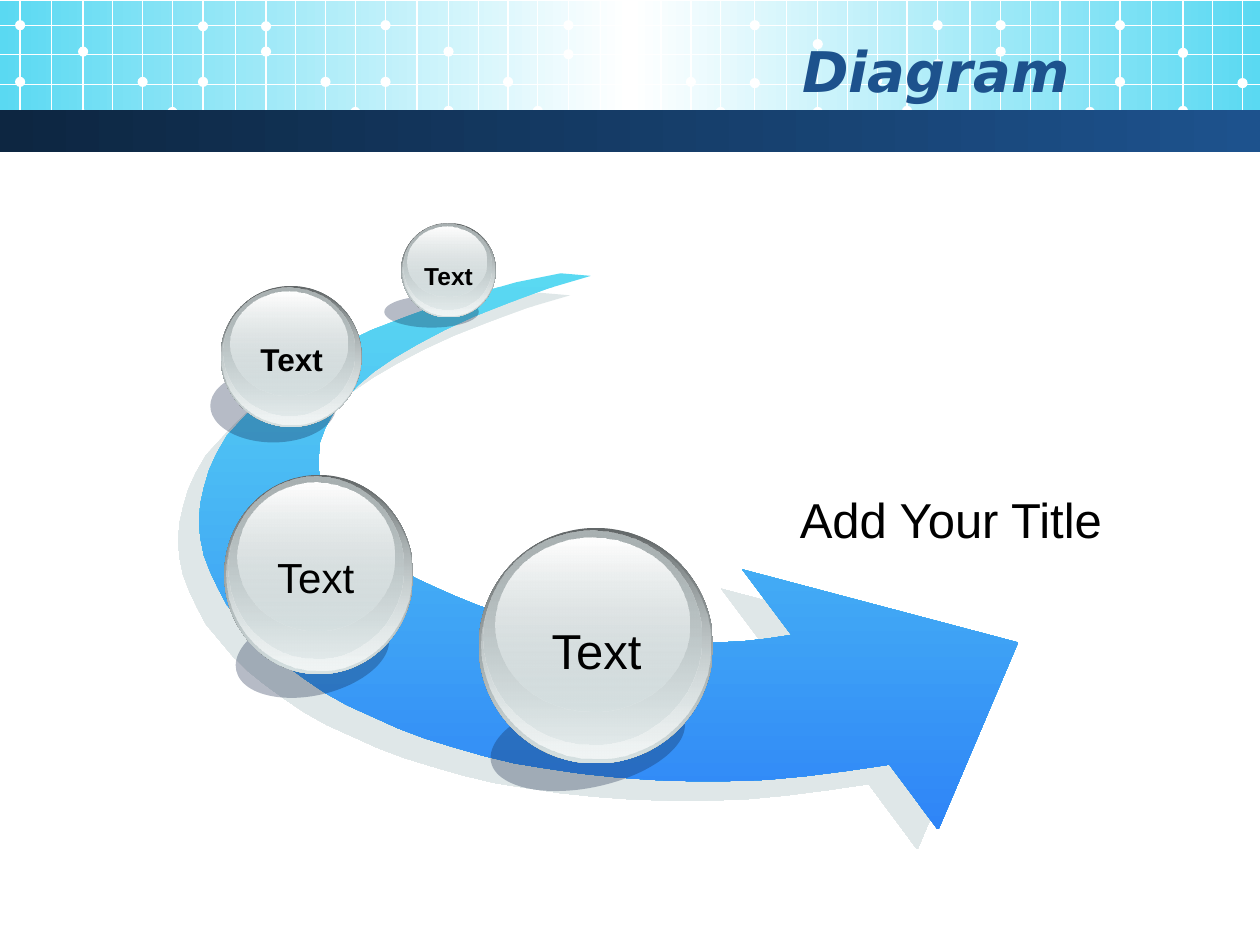
from dataclasses import dataclass
from lxml.etree import SubElement as Sub
from pptx import Presentation
from pptx.dml.color import RGBColor as Rgb
from pptx.enum.shapes import MSO_CONNECTOR as Conn, MSO_SHAPE as Kind
from pptx.enum.text import MSO_ANCHOR as Anchor, MSO_AUTO_SIZE as Auto, PP_ALIGN as Align
from pptx.oxml import parse_xml
from pptx.oxml.ns import nsdecls, qn
from pptx.util import Pt


@dataclass(frozen=True)
class Theme:
    white: str = "FFFFFF"
    black: str = "000000"
    navy: str = "0D2641"
    blue: str = "1D528D"
    aqua: str = "5AD9F2"
    azure: str = "2F85F7"
    shade: str = "0F2145"
    haze: str = "C1D1D3"
    pale: str = "D6E1E2"
    frost: str = "F1F5F5"
    steel: str = "AAB2B3"
    iron: str = "636869"
    head: str = "DejaVu Sans"
    body: str = "Arial"
    title: int = 32
    note: int = 28
    balls: tuple = (28, 24, 18, 14)


T = Theme()
WIDE, HIGH = 720, 540

TITLE = ("Diagram", (36, 18, 582.5, 44.6))
NOTE = ("Add Your Title", (450, 276, 210, 41))

TILES = [11.5, 220.3, 431.3, 640]
STEPS = [0, 18, 36, 53, 70, 87, 104.5, 123, 140.5, 157.5, 174.5, 191.5]
ROWS = [14.4, 31, 48.2, 64]
DOT = 5.8
DOT_COLS = [0, 0, 2, 2, 4, 5, 6, 6, 8, 8, 10, 11]
DOT_ROWS = [
    [46.8, 14.4, 29.5, 65.5, 46.8, 64, 46.8, 15, 29.5, 15, 46.8, 64],
    [46.8, 14.4, 29.5, 63.4, 46.8, 63.4, 31, 14.4, 30.2, 14.4, 46.8, 64],
    [47.5, 14.4, 25.2, 64, 46, 63.4, 36.7, 14.4, 29.5, 14.4, 46.8, 64],
    [46.8, 14.4, 30.2, 63.4, 47.5],
]

OUTER = [
    (320.4, 156.2), (295.2, 161.3), (272.2, 167.8), (250.6, 174.2), (231.1, 181.4),
    (212.4, 188.6), (195.8, 196.6), (181.4, 204.5), (167.8, 213.1), (156.2, 221.8),
    (146.2, 231.1), (137.5, 240.5), (129.6, 249.1), (123.8, 259.2), (119.5, 268.6),
    (116.6, 278.6), (114.5, 288), (113.8, 298.1), (114.5, 307.4), (116.6, 317.5),
    (120.2, 326.9), (124.6, 336.2), (129.6, 345.6), (136.8, 354.2), (144.7, 363.6),
    (153.4, 372.2), (163.4, 380.2), (174.2, 388.1), (185.8, 396), (198.7, 403.2),
    (213.1, 409.7), (227.5, 416.2), (242.6, 421.9), (259.2, 427), (276.5, 432),
    (294.5, 436.3), (312.5, 439.2), (331.9, 442.1), (352.1, 444.2), (372.2, 445.7),
    (393.8, 446.4), (415.4, 446.4), (437.8, 445.7), (460.8, 443.5), (483.8, 440.6),
    (508.3, 437),
]
TIP = [(535.7, 473.8), (536.4, 473.8), (581.8, 367.2), (424.1, 325.4), (452.2, 362.9)]
INNER = [
    (438.5, 365), (424.8, 366.5), (410.4, 367.2), (396.7, 367.9), (382.3, 367.2),
    (367.9, 366.5), (353.5, 365), (339.1, 362.9), (325.4, 360.7), (311, 357.1),
    (298.1, 353.5), (284.4, 349.9), (272.2, 345.6), (259.9, 340.6), (248.4, 335.5),
    (237.6, 330.5), (227.5, 324.7), (218.2, 318.2), (210.2, 311.8), (202.3, 305.3),
    (195.8, 298.1), (190.8, 290.9), (186.5, 283.7), (183.6, 276.5), (182.2, 268.6),
    (182.2, 260.6), (182.9, 252.7), (185.8, 244.8), (190.1, 236.9), (196.6, 229),
    (204.5, 220.3), (213.8, 212.4), (225.4, 204.5), (239, 196.6), (254.2, 188.6),
    (271.4, 180.7), (291.6, 172.8), (313.2, 164.9), (337.7, 157.7),
]

BALLS = [
    dict(text="Text", bold=False, mid=(340.9, 371.2), turn=-12.1,
         box=(273.6, 301.7, 133.9, 134.6), under=(279.4, 397.4, 113, 52.6)),
    dict(text="Text", bold=False, mid=(180.4, 329.4), turn=-12.9,
         box=(128.2, 271.4, 108, 113.8), under=(133.9, 349.2, 89.3, 48.2)),
    dict(text="Text", bold=True, mid=(166.7, 205.4), turn=0,
         box=(126, 163.4, 80.6, 80.6), under=(120.2, 211, 72, 41.8)),
    dict(text="Text", bold=True, mid=(256.3, 157.4), turn=0,
         box=(229.3, 127.4, 54, 54), under=(219.6, 169.2, 54, 18)),
]
GLASS = [
    ((0, 0, 1, 1), [(0, T.iron, 100), (100, T.pale, 100)]),
    ((0.01, 0.01, 0.98, 0.97), [(0, T.pale, 0), (100, T.frost, 100)]),
    ((0.02, 0.01, 0.93, 0.91), [(0, T.steel, 100), (100, T.pale, 48)]),
    ((0.07, 0.04, 0.83, 0.74), [(0, T.white, 100), (100, T.pale, 38)]),
]


def pts(box):
    return [Pt(v) for v in box]


def tint(node, color, alpha):
    clr = Sub(node, qn("a:srgbClr"), val=color)
    if alpha < 100:
        Sub(clr, qn("a:alpha"), val=str(alpha * 1000))


def flat(shape, color, alpha=100):
    shape.shadow.inherit = False
    shape.line.fill.background()
    shape.fill.solid()
    shape.fill.fore_color.rgb = Rgb.from_string(color)
    if alpha < 100:
        clr = shape._element.spPr.find(qn("a:solidFill"))[0]
        Sub(clr, qn("a:alpha"), val=str(alpha * 1000))


def paint(shape, stops, angle=0):
    flat(shape, stops[0][1])
    grad = parse_xml(f'<a:gradFill {nsdecls("a")} rotWithShape="1"/>')
    rows = Sub(grad, qn("a:gsLst"))
    for pos, color, alpha in stops:
        tint(Sub(rows, qn("a:gs"), pos=str(pos * 1000)), color, alpha)
    Sub(grad, qn("a:lin"), ang=str(angle * 60000), scaled="0")
    props = shape._element.spPr
    props.replace(props.find(qn("a:solidFill")), grad)


def style(frame, text, font, size, color, align, bold=False, slant=False):
    frame.text = text
    para = frame.paragraphs[0]
    para.alignment = align
    face = para.runs[0].font
    face.name, face.size, face.bold, face.italic = font, Pt(size), bold, slant
    face.color.rgb = Rgb.from_string(color)


def label(shapes, box, text, size, align, wrap, bold=False):
    frame = shapes.add_textbox(*pts(box)).text_frame
    frame.word_wrap = wrap
    frame.auto_size = Auto.SHAPE_TO_FIT_TEXT
    style(frame, text, T.body, size, T.black, align, bold)


def rule(shapes, x1, y1, x2, y2):
    line = shapes.add_connector(Conn.STRAIGHT, *pts((x1, y1, x2, y2)))
    line.line.width = Pt(0.75)
    line.line.color.rgb = Rgb.from_string(T.white)
    Sub(line._element.spPr, qn("a:effectLst"))


def banner(shapes):
    sky = shapes.add_shape(Kind.RECTANGLE, *pts((0, 0.7, WIDE, 73.4)))
    paint(sky, [(0, T.aqua, 100), (50, T.white, 100), (100, T.aqua, 100)])
    for start, ys in zip(TILES, DOT_ROWS):
        for step in STEPS:
            if start + step < WIDE:
                rule(shapes, start + step, 0.3, start + step, 79.2)
        for col, y in zip(DOT_COLS, ys):
            x = start + STEPS[col]
            dot = shapes.add_shape(Kind.OVAL, *pts((x - DOT / 2, y - DOT / 2, DOT, DOT)))
            flat(dot, T.white)
    for y in ROWS:
        rule(shapes, 0, y, WIDE, y)
    bar = shapes.add_shape(Kind.RECTANGLE, *pts((0, 63, WIDE, 24)))
    paint(bar, [(0, T.navy, 100), (100, T.blue, 100)])


def arrow(shapes):
    first, *rest = [(x * 10, y * 10) for x, y in OUTER + TIP + INNER]
    pen = shapes.build_freeform(*first, scale=Pt(0.1))
    pen.add_line_segments(rest, close=True)
    swoosh = pen.convert_to_shape()
    paint(swoosh, [(0, T.aqua, 100), (100, T.azure, 100)], 90)
    glow = swoosh._element.spPr.find(qn("a:effectLst"))
    cast = Sub(glow, qn("a:outerShdw"), dist=str(Pt(16.3)), dir=str(137 * 60000),
               algn="ctr", rotWithShape="0")
    tint(cast, T.haze, 50)


def globe(shapes, ball, size):
    under = shapes.add_shape(Kind.OVAL, *pts(ball["under"]))
    under.rotation = ball["turn"]
    flat(under, T.shade, 30)
    x, y, w, h = ball["box"]
    for (fx, fy, fw, fh), stops in GLASS:
        part = (x + fx * w, y + fy * h, fw * w, fh * h)
        paint(shapes.add_shape(Kind.OVAL, *pts(part)), stops, 90)
    wide = size * (2.1 if ball["bold"] else 1.95) + 14.4
    high = size * 1.2 + 7.2
    mx, my = ball["mid"]
    label(shapes, (mx - wide / 2, my - high / 2, wide, high), ball["text"], size,
          Align.CENTER, False, ball["bold"])


def main():
    deck = Presentation()
    deck.slide_width, deck.slide_height = Pt(WIDE), Pt(HIGH)
    slide = deck.slides.add_slide(deck.slide_layouts[5])
    shapes = slide.shapes
    banner(shapes)
    title = shapes.title
    text, box = TITLE
    title.left, title.top, title.width, title.height = pts(box)
    title.text_frame.vertical_anchor = Anchor.MIDDLE
    style(title.text_frame, text, T.head, T.title, T.blue, Align.RIGHT, True, True)
    shapes._spTree.append(title._element)
    arrow(shapes)
    text, box = NOTE
    label(shapes, box, text, T.note, Align.LEFT, True)
    for ball, size in zip(BALLS, T.balls):
        globe(shapes, ball, size)
    deck.save("out.pptx")


if __name__ == "__main__":
    main()
